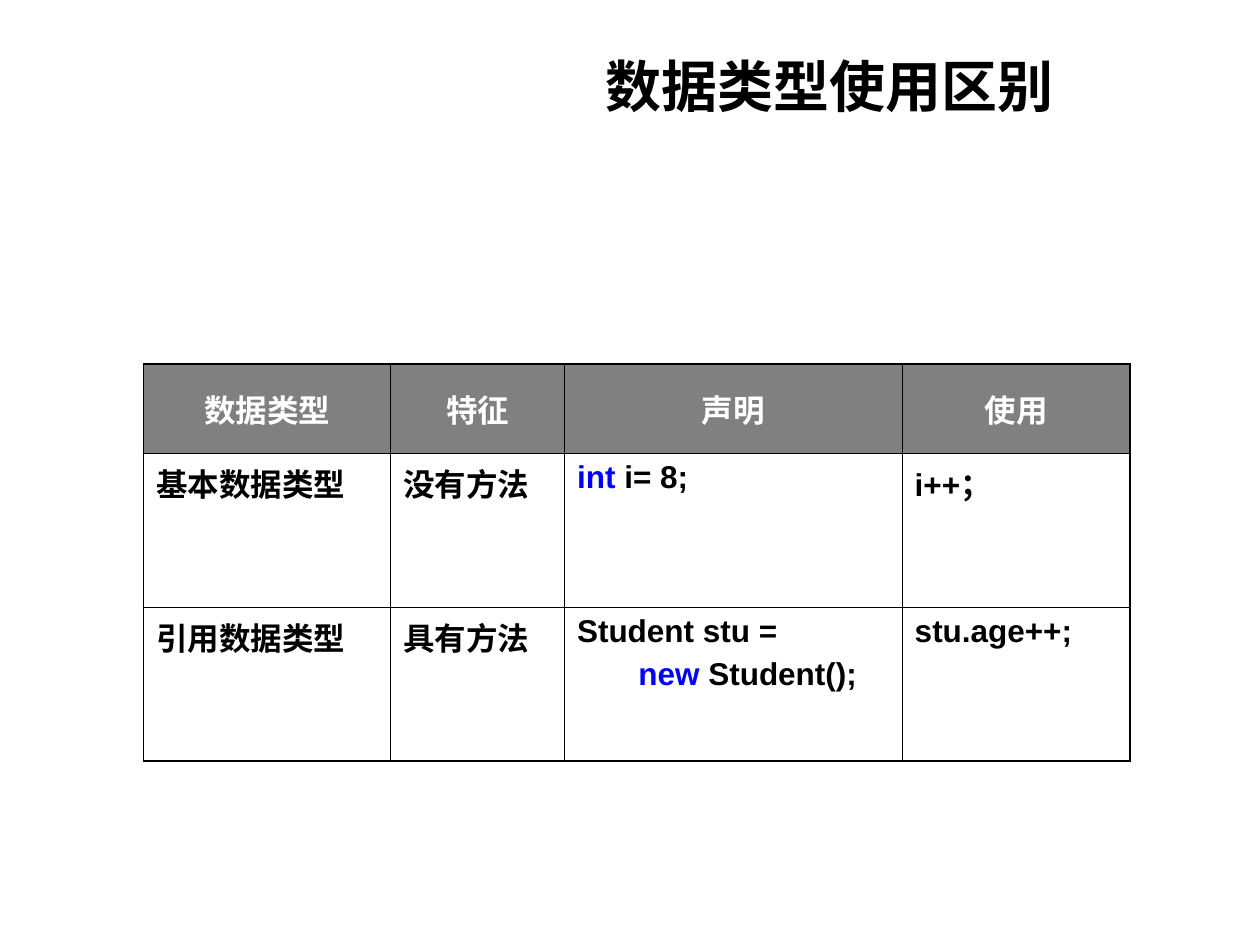
from dataclasses import dataclass

from lxml import etree
from pptx import Presentation
from pptx.dml.color import RGBColor
from pptx.enum.text import MSO_ANCHOR, PP_ALIGN
from pptx.oxml.ns import qn
from pptx.util import Inches, Pt

LEFT, CENTER, RIGHT = PP_ALIGN.LEFT, PP_ALIGN.CENTER, PP_ALIGN.RIGHT
TOP, MIDDLE = MSO_ANCHOR.TOP, MSO_ANCHOR.MIDDLE


@dataclass(frozen=True)
class Theme:
    font: str = "Arial"
    ink: str = "000000"
    keyword: str = "0000FF"
    header_ink: str = "FFFFFF"
    header_fill: str = "808080"
    title_size: float = 32
    body_size: float = 18
    line_gap: float = 4.5
    outer_line: float = 1.08
    inner_line: float = 0.45


THEME = Theme()
PAGE_WIDTH, PAGE_HEIGHT = 10, 7.5
COLUMNS = [1.96, 1.38, 2.68, 1.81]
ROWS = [0.71, 1.22, 1.22]
KEYWORDS = {"int", "new"}
HEADER = ["数据类型", "特征", "声明", "使用"]
BODY = [
    ["基本数据类型", "没有方法", [["int", " i= 8;"]], "i++；"],
    ["引用数据类型", "具有方法",
     [["Student stu ="], ["       ", "new", " Student();"]], "stu.age++;"],
]


def write_text(frame, content, size=THEME.body_size, color=THEME.ink,
               align=LEFT, anchor=TOP):
    lines = [[content]] if isinstance(content, str) else content
    frame.word_wrap = True
    frame.vertical_anchor = anchor
    for index, spans in enumerate(lines):
        para = frame.add_paragraph() if index else frame.paragraphs[0]
        para.alignment = align
        if index:
            para.space_before = Pt(THEME.line_gap)
        for text in spans:
            span = para.add_run()
            span.text = text
            span.font.name = THEME.font
            span.font.size = Pt(size)
            span.font.bold = True
            shade = THEME.keyword if text in KEYWORDS else color
            span.font.color.rgb = RGBColor.from_string(shade)


def add_title(page, text):
    box = page.shapes.add_textbox(Inches(3.58), Inches(0.36),
                                  Inches(4.88), Inches(0.63))
    write_text(box.text_frame, text, size=THEME.title_size,
               align=RIGHT, anchor=MIDDLE)


def add_borders(cell, row, column):
    outer_sides = {
        "lnL": column == 0,
        "lnR": column == len(COLUMNS) - 1,
        "lnT": row == 0,
        "lnB": row == len(ROWS) - 1,
    }
    properties = cell._tc.get_or_add_tcPr()
    for side, is_outer in outer_sides.items():
        width = THEME.outer_line if is_outer else THEME.inner_line
        line = etree.SubElement(properties, qn(f"a:{side}"), w=str(int(Pt(width))))
        fill = etree.SubElement(line, qn("a:solidFill"))
        etree.SubElement(fill, qn("a:srgbClr"), val=THEME.ink)


def fill_cell(cell, content, is_header):
    if is_header:
        cell.fill.solid()
        cell.fill.fore_color.rgb = RGBColor.from_string(THEME.header_fill)
        write_text(cell.text_frame, content, color=THEME.header_ink, align=CENTER)
        cell.vertical_anchor = MIDDLE
    else:
        cell.fill.background()
        write_text(cell.text_frame, content)
        cell.vertical_anchor = TOP


def add_comparison_table(page):
    frame = page.shapes.add_table(len(ROWS), len(COLUMNS), Inches(1.14), Inches(2.89),
                                  Inches(sum(COLUMNS)), Inches(sum(ROWS)))
    table = frame.table
    table.first_row = False
    table.horz_banding = False
    for column, width in zip(table.columns, COLUMNS):
        column.width = Inches(width)
    for row, height in zip(table.rows, ROWS):
        row.height = Inches(height)
    for row, contents in enumerate([HEADER, *BODY]):
        for column, content in enumerate(contents):
            cell = table.cell(row, column)
            add_borders(cell, row, column)
            fill_cell(cell, content, is_header=row == 0)


def main():
    deck = Presentation()
    deck.slide_width = Inches(PAGE_WIDTH)
    deck.slide_height = Inches(PAGE_HEIGHT)
    page = deck.slides.add_slide(deck.slide_layouts[6])
    add_title(page, "数据类型使用区别")
    add_comparison_table(page)
    deck.save("out.pptx")


if __name__ == "__main__":
    main()
